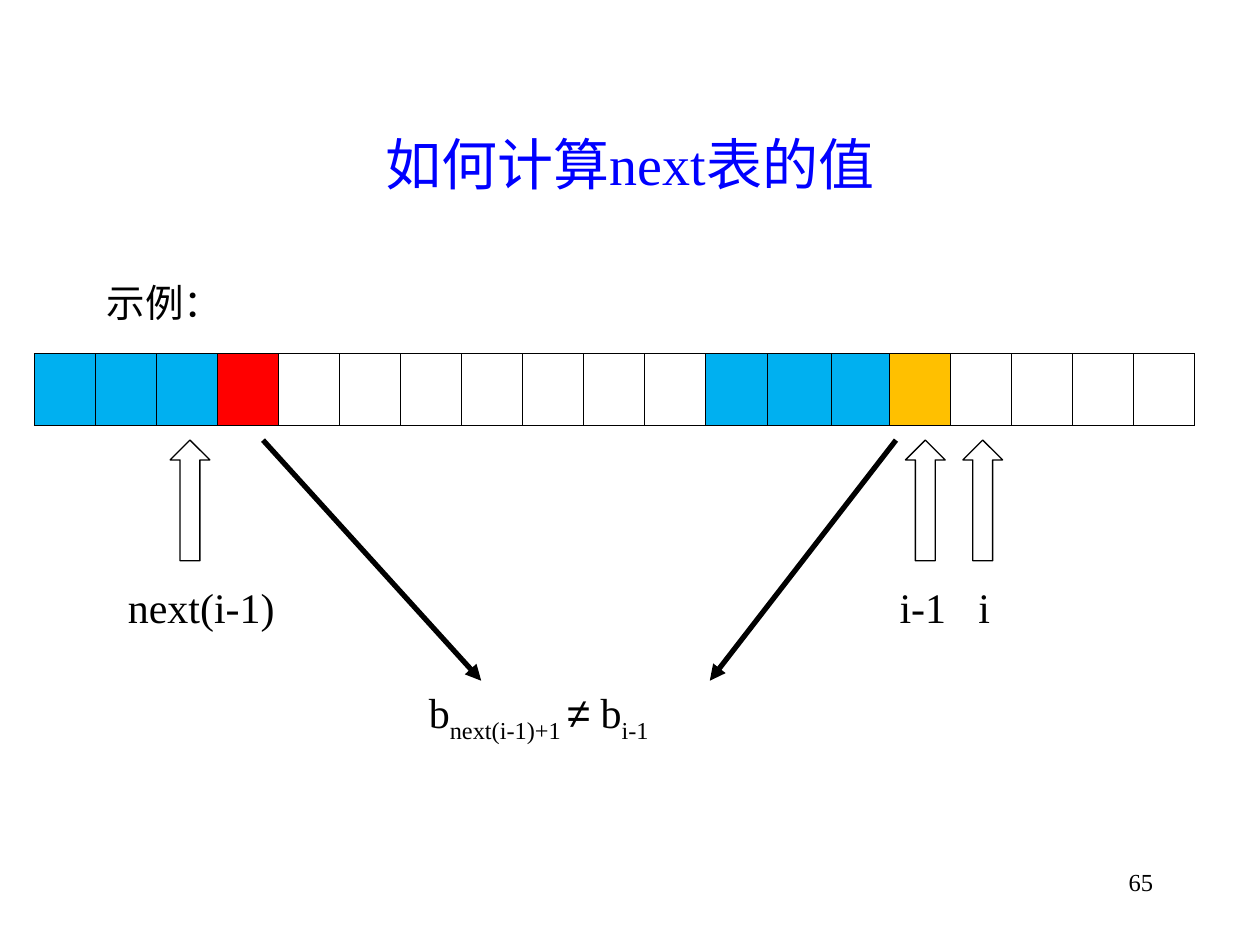
from lxml import etree
from pptx import Presentation
from pptx.dml.color import RGBColor
from pptx.enum.shapes import MSO_CONNECTOR, MSO_SHAPE
from pptx.enum.text import MSO_ANCHOR, PP_ALIGN
from pptx.oxml.ns import qn
from pptx.util import Pt

LEFT, CENTER, RIGHT = PP_ALIGN.LEFT, PP_ALIGN.CENTER, PP_ALIGN.RIGHT
TOP, MIDDLE = MSO_ANCHOR.TOP, MSO_ANCHOR.MIDDLE
UP = MSO_SHAPE.UP_ARROW
STRAIGHT = MSO_CONNECTOR.STRAIGHT
SERIF = "Times New Roman"
BLACK, WHITE, BLUE = "000000", "FFFFFF", "0000FF"
SKY, RED, GOLD = "00B0F0", "FF0000", "FFC000"


def color(code):
    return RGBColor.from_string(code)


def paint(fill, code):
    fill.solid()
    fill.fore_color.rgb = color(code)


def add_text(slide, box, text, size, ink=BLACK, align=LEFT, anchor=TOP):
    frame = slide.shapes.add_textbox(*map(Pt, box)).text_frame
    frame.word_wrap = True
    frame.vertical_anchor = anchor
    para = frame.paragraphs[0]
    para.text = text
    para.alignment = align
    para.font.name = SERIF
    para.font.size = Pt(size)
    para.font.color.rgb = color(ink)
    return para


def add_term(para, text, sub=False, font=SERIF):
    run = para.add_run()
    run.text = text
    run.font.name = font
    if sub:
        run._r.get_or_add_rPr().set("baseline", "-25000")


def add_edges(cell):
    props = cell._tc.get_or_add_tcPr()
    for spot, side in enumerate(("a:lnL", "a:lnR", "a:lnT", "a:lnB")):
        edge = etree.Element(qn(side), w=str(Pt(0.45)))
        fill = etree.SubElement(edge, qn("a:solidFill"))
        etree.SubElement(fill, qn("a:srgbClr"), val=BLACK)
        props.insert(spot, edge)


def add_strip(slide, box, fills, widths):
    table = slide.shapes.add_table(1, len(fills), *map(Pt, box)).table
    table.first_row = False
    table.horz_banding = False
    for col, (code, width) in enumerate(zip(fills, widths)):
        table.columns[col].width = Pt(width)
        cell = table.cell(0, col)
        paint(cell.fill, code)
        add_edges(cell)


def add_arrow(slide, left):
    arrow = slide.shapes.add_shape(UP, Pt(left), Pt(251.5), Pt(22.7), Pt(69))
    arrow.shadow.inherit = False
    paint(arrow.fill, WHITE)
    arrow.line.color.rgb = color(BLACK)
    arrow.line.width = Pt(0.74)


def add_link(slide, start, end):
    link = slide.shapes.add_connector(STRAIGHT, *map(Pt, start + end))
    link.line.color.rgb = color(BLACK)
    link.line.width = Pt(3)
    etree.SubElement(link.line._get_or_add_ln(), qn("a:tailEnd"), type="triangle")
    etree.SubElement(link._element.spPr, qn("a:effectLst"))


def main():
    deck = Presentation()
    deck.slide_width, deck.slide_height = Pt(720), Pt(540)
    slide = deck.slides.add_slide(deck.slide_layouts[6])

    add_text(slide, (516, 492, 150, 36), "65", 14, align=RIGHT)
    add_text(slide, (54, 48, 612, 90), "如何计算next表的值", 32, BLUE, CENTER, MIDDLE)
    intro = add_text(slide, (54, 156, 612, 40), "示例：", 22)
    intro.space_before = Pt(5.5)

    fills = [SKY] * 3 + [RED] + [WHITE] * 7 + [SKY] * 3 + [GOLD] + [WHITE] * 4
    widths = [34.9] * len(fills)
    widths[12:14] = 36.6, 33.4
    add_strip(slide, (19.5, 202, 663.3, 41.3), fills, widths)

    labels = (("next(i-1)", 66, 108, 97.2), ("i-1", 507, 45, 517.4),
              ("i", 552, 45, 550.2))
    for text, left, width, tip in labels:
        add_text(slide, (left, 328.5, width, 36), text, 24)
        add_arrow(slide, tip)

    claim = add_text(slide, (238, 389, 244, 40), "", 24)
    add_term(claim, "b")
    add_term(claim, "next(i-1)+1 ", sub=True)
    add_term(claim, "≠", font="Arial")
    add_term(claim, " b")
    add_term(claim, "i-1", sub=True)

    add_link(slide, (150.3, 251.5), (275, 389))
    add_link(slide, (512, 251.5), (405.6, 389))
    deck.save("out.pptx")


main()
